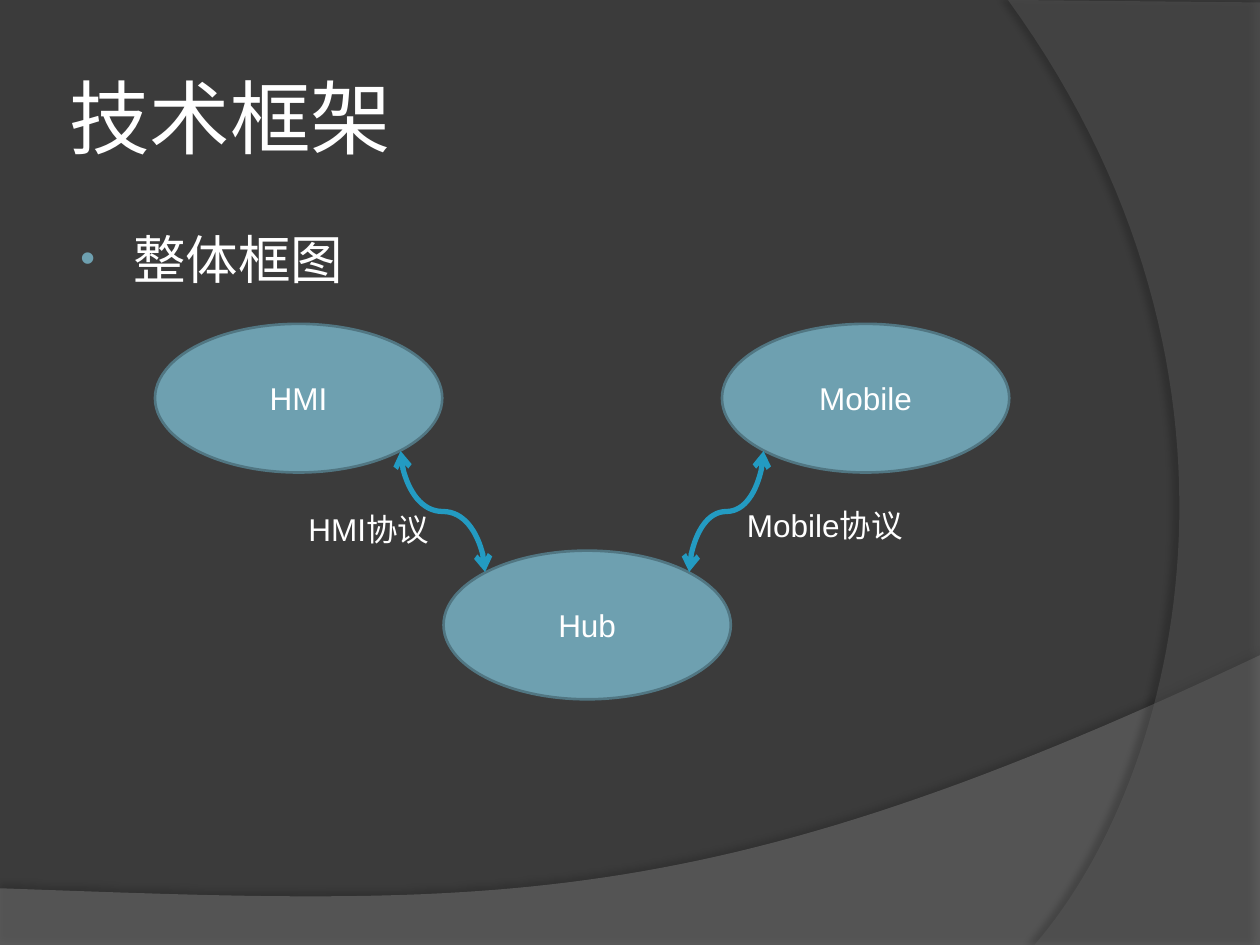
import pptx
import pptx.util
import pptx.dml.color
import pptx.enum.shapes
import pptx.enum.text
import pptx.oxml
import pptx.oxml.ns
import lxml.etree

Inches, Pt, qn = pptx.util.Inches, pptx.util.Pt, pptx.oxml.ns.qn
ANCHOR = pptx.enum.text.MSO_ANCHOR
COLORS = {"bg": "3B3B3B", "wave": "7F7F7F", "arc": "5E5E5E", "shadow": "000000",
          "text": "FFFFFF", "node": "6EA0B0", "node_line": "517682", "link": "239BC2"}


def rgb(name):
    """Return a palette colour."""
    return pptx.dml.color.RGBColor.from_string(COLORS[name])


def sub(parent, tag, **attrs):
    """Append an XML child with the given attributes."""
    el = lxml.etree.SubElement(parent, qn(tag))
    for key, value in attrs.items():
        el.set(key, str(value))
    return el


def curve(p0, p1, p2, p3, steps=60):
    """Return points along a cubic Bezier, without its start."""
    points = []
    for i in range(1, steps + 1):
        t = i / steps
        weights = ((1 - t) ** 3, 3 * t * (1 - t) ** 2, 3 * t * t * (1 - t), t ** 3)
        points.append(tuple(sum(w * p[axis] for w, p in zip(weights, (p0, p1, p2, p3)))
                            for axis in (0, 1)))
    return points


def add_panel(slide, box, points, color, alpha, shadow):
    """Draw a translucent background panel; points are relative to the box."""
    x, y = box[:2]
    pts = [(Inches(x + px), Inches(y + py)) for px, py in points]
    fb = slide.shapes.build_freeform(*pts[0], scale=1.0)
    fb.add_line_segments(pts[1:], close=True)
    s = fb.convert_to_shape()
    s.fill.solid()
    s.fill.fore_color.rgb = rgb(color)
    s.line.fill.background()
    s.shadow.inherit = False
    sp_pr = s._element.spPr
    sub(sp_pr.find(".//" + qn("a:srgbClr")), "a:alpha", val=alpha * 1000)
    strength, blur, dist, angle = shadow
    shade = sub(sp_pr.find(qn("a:effectLst")), "a:outerShdw", blurRad=Pt(blur), dist=Pt(dist),
                dir=angle * 60000, algn="ctr", rotWithShape=0)
    sub(sub(shade, "a:srgbClr", val=COLORS["shadow"]), "a:alpha", val=strength * 1000)


def add_background(slide, box):
    """Fill the slide and draw the wave and the arc over it."""
    x, y, w, h = box
    slide.background.fill.solid()
    slide.background.fill.fore_color.rgb = rgb("bg")
    wave = [(0, 1.85), (0, 2.31), (w, 2.31), (w, 0)]
    wave += curve((w, 0), (5.59, 2.09), (3.91, 1.99), (0, 1.85))
    add_panel(slide, (x, y + 5.2, w, 2.31), wave, "wave", 45, (35, 4, 3.5, 270))
    arc = [(2, 0.02), (2, h), (0.21, h)]
    arc += curve((0.21, h), (1.35, 6.19), (2.18, 3), (0, 0))
    add_panel(slide, (x + w - 2, y, 2, h), arc, "arc", 40, (45, 4, 4, 180))


def write(tf, text, size, font="Arial"):
    """Put one run into the frame and return its paragraph."""
    p = tf.paragraphs[0]
    r = p.add_run()
    r.text = text
    r.font.size, r.font.name = Pt(size), font
    r.font.color.rgb = rgb("text")
    return p


def add_text(slide, box, text, size, font="Arial", anchor=ANCHOR.TOP, inset=0.1):
    """Add a wrapping text box and return its paragraph."""
    tf = slide.shapes.add_textbox(*map(Inches, box)).text_frame
    tf.word_wrap = True
    tf.vertical_anchor = anchor
    tf.margin_left = tf.margin_right = Inches(inset)
    return write(tf, text, size, font)


def add_heading(slide, box):
    """Add the title and the bulleted line below it."""
    x, y, w, h = box
    add_text(slide, (x, y, w, 1.25), "技术框架", 46, "Noto Sans", ANCHOR.MIDDLE, 0.05)
    p = add_text(slide, (x, y + 1.45, w, h - 1.45), "整体框图", 30)
    p.space_before = Pt(6)
    p_pr = p._p.get_or_add_pPr()
    p_pr.set("marL", str(Inches(0.46)))
    p_pr.set("indent", str(Inches(-0.42)))
    sub(sub(p_pr, "a:buClr"), "a:srgbClr", val=COLORS["node"])
    sub(p_pr, "a:buSzPct", val=80000)
    sub(p_pr, "a:buFont", typeface="Arial")
    sub(p_pr, "a:buChar", char="•")


def add_node(slide, box, text):
    """Add a labelled ellipse."""
    s = slide.shapes.add_shape(pptx.enum.shapes.MSO_SHAPE.OVAL, *map(Inches, box))
    s.shadow.inherit = False
    s.fill.solid()
    s.fill.fore_color.rgb = rgb("node")
    s.line.color.rgb = rgb("node_line")
    s.line.width = Pt(1.5)
    s.text_frame.vertical_anchor = ANCHOR.MIDDLE
    write(s.text_frame, text, 18).alignment = pptx.enum.text.PP_ALIGN.CENTER


def add_link(slide, start, end):
    """Add a two-headed S-curve that leaves and arrives vertically."""
    (x1, y1), (x2, y2) = start, end
    cx, cy = (x1 + x2) / 2, (y1 + y2) / 2
    half_w, half_h = abs(y2 - y1) / 2, abs(x2 - x1) / 2
    side = 1 if x2 > x1 else -1
    c = slide.shapes.add_connector(
        pptx.enum.shapes.MSO_CONNECTOR.CURVE,
        Inches(cx + side * half_w), Inches(cy - half_h),
        Inches(cx - side * half_w), Inches(cy + half_h))
    c.line.color.rgb = rgb("link")
    c.line.width = Pt(3)
    sp_pr = c._element.spPr
    sp_pr.find(qn("a:xfrm")).set("rot", str((270 if side > 0 else 90) * 60000))
    ln = sp_pr.find(qn("a:ln"))
    for tag in ("a:headEnd", "a:tailEnd"):
        sub(ln, tag, type="arrow")
    sub(sp_pr, "a:effectLst")


def add_diagram(slide, box):
    """Draw the three nodes, their links and the protocol labels."""
    x, y = box[:2]
    for text, dx, dy in (("HMI", 0, 0), ("Hub", 2.29, 1.8), ("Mobile", 4.5, 0)):
        add_node(slide, (x + dx, y + dy, 2.28, 1.18), text)
    for dx1, dx2 in ((1.95, 2.62), (4.83, 4.24)):
        add_link(slide, (x + dx1, y + 1.01), (x + dx2, y + 1.97))
    for text, dx, dy, w in (("HMI协议", 1.12, 1.43, 1.17), ("Mobile协议", 4.6, 1.4, 1.45)):
        add_text(slide, (x + dx, y + dy, w, 0.4), text, 18)


prs = pptx.Presentation()
prs.slide_width, prs.slide_height = Inches(10), Inches(7.5)
slide = prs.slides.add_slide(prs.slide_layouts[6])
add_background(slide, (0, 0, 10, 7.5))
add_heading(slide, (0.5, 0.3, 8.17, 2.19))
add_diagram(slide, (1.23, 2.57, 6.78, 2.98))
prs.save("out.pptx")
